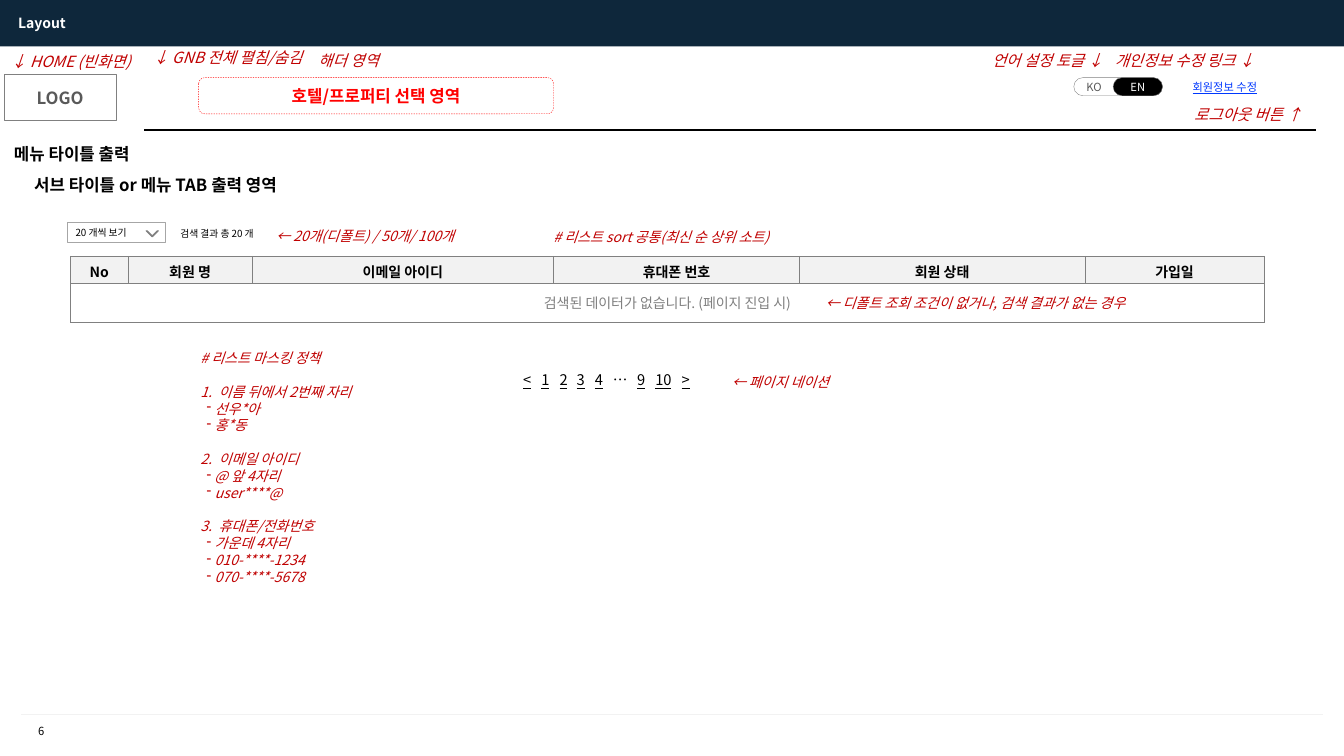
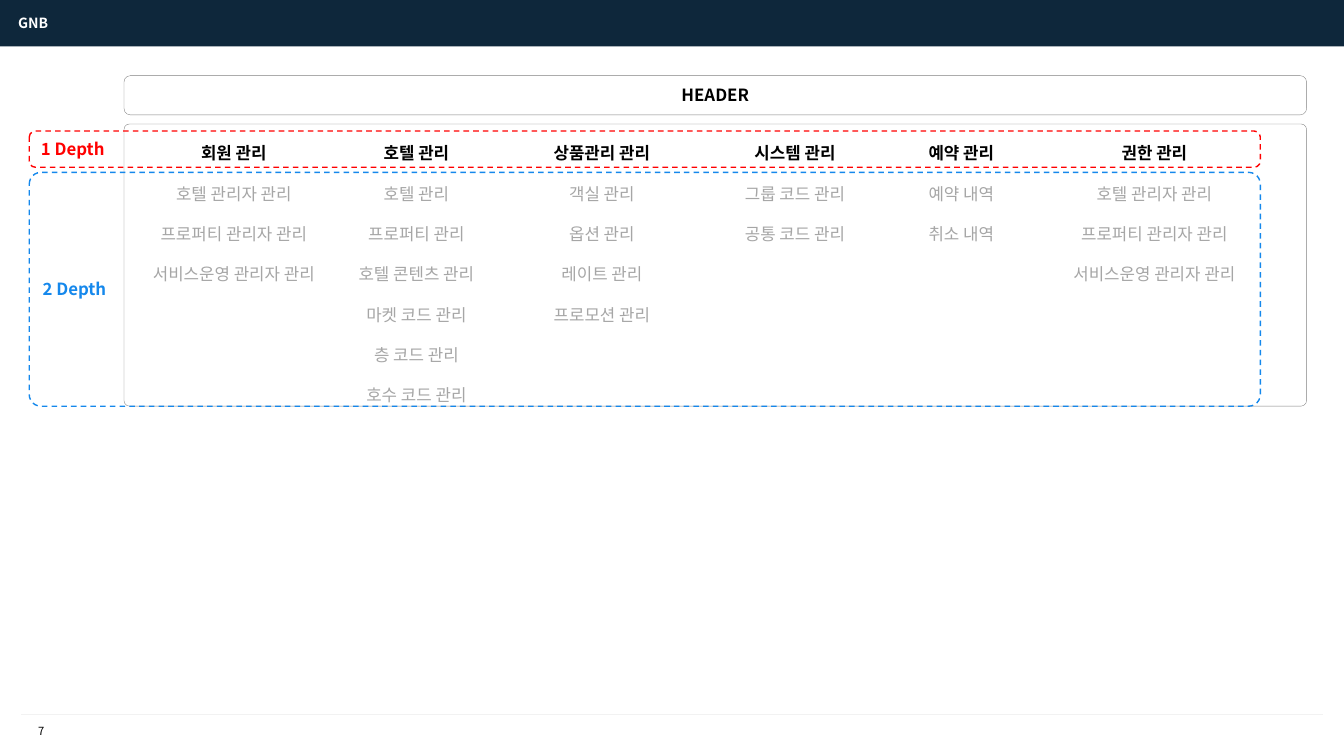
import pptx
import pptx.dml.color
import pptx.enum.dml
import pptx.enum.shapes
import pptx.enum.text
import pptx.oxml
import pptx.oxml.ns
import pptx.util

# Shared style
PX = 9144  # one px is a hundredth of an inch
WIDTH, HEIGHT = 1333, 750
FONT = "Noto Sans CJK KR"
NAVY, WHITE, BLACK = "0E273B", "FFFFFF", "000000"
GRAY, DARK_GRAY, MID_GRAY, PALE_GRAY = "808080", "595959", "A6A6A6", "F2F2F2"
RED, NOTE_RED, BLUE, LINK_BLUE = "FF0000", "C00000", "1588EC", "0038FE"

SHAPES = pptx.enum.shapes.MSO_SHAPE
DASH = pptx.enum.dml.MSO_LINE.DASH
LEFT, CENTER, RIGHT = (pptx.enum.text.PP_ALIGN.LEFT, pptx.enum.text.PP_ALIGN.CENTER,
                       pptx.enum.text.PP_ALIGN.RIGHT)
TOP, MIDDLE = pptx.enum.text.MSO_ANCHOR.TOP, pptx.enum.text.MSO_ANCHOR.MIDDLE


def px(*lengths):
    return [pptx.util.Emu(length * PX) for length in lengths]


def rgb(color):
    return pptx.dml.color.RGBColor.from_string(color)


def add_xml(parent, tag, **attributes):
    element = parent.makeelement(pptx.oxml.ns.qn(tag), attributes)
    parent.append(element)
    return element


# Text
def write_text(paragraph, text, size=10, color=BLACK, bold=False, italic=False,
               underline=False, align=LEFT, line_spacing=None, space_before=0):
    paragraph.alignment = align
    if line_spacing:
        paragraph.line_spacing = line_spacing
    if space_before:
        paragraph.space_before = pptx.util.Pt(space_before)
    run = paragraph.add_run()
    run.text = text
    font = run.font
    font.size = pptx.util.Pt(size)
    font.bold, font.italic, font.underline = bold, italic, underline
    font.color.rgb = rgb(color)
    font.name = FONT
    add_xml(font._element, "a:ea", typeface=FONT)


def set_insets(frame, side=10, end=5):
    frame.margin_left = frame.margin_right = px(side)[0]
    frame.margin_top = frame.margin_bottom = px(end)[0]


def add_box(slide, left, top, width, height, side=10, end=5):
    frame = slide.shapes.add_textbox(*px(left, top, width, height)).text_frame
    frame.word_wrap = True
    set_insets(frame, side, end)
    return frame


def add_label(slide, text, left, top, width, size=10, **style):
    height = round(10 + size * 5 / 3)
    frame = add_box(slide, left, top, width, height)
    write_text(frame.paragraphs[0], text, size=size, **style)


def add_note(slide, text, left, top, width, size=10, align=LEFT):
    add_label(slide, text, left, top, width, size, color=NOTE_RED, italic=True, align=align)


def next_paragraph(frame, index):
    return frame.add_paragraph() if index else frame.paragraphs[0]


def set_bullet(paragraph, margin, hanging, tag, **attributes):
    properties = paragraph._p.get_or_add_pPr()
    properties.set("marL", str(margin * PX))
    properties.set("indent", str(-hanging * PX))
    add_xml(properties, tag, **attributes)


# Shapes and lines
def paint(shape, fill=None, line=None, weight=0.25, dash=None):
    shape.shadow.inherit = False
    if fill:
        shape.fill.solid()
        shape.fill.fore_color.rgb = rgb(fill)
    else:
        shape.fill.background()
    if line:
        shape.line.color.rgb = rgb(line)
        shape.line.width = pptx.util.Pt(weight)
        if dash:
            shape.line.dash_style = dash
    else:
        shape.line.fill.background()


def add_panel(slide, left, top, width, height, kind=SHAPES.ROUNDED_RECTANGLE,
              corner=None, text="", insets=(10, 5), look=None, **style):
    shape = slide.shapes.add_shape(kind, *px(left, top, width, height))
    if corner is not None:
        shape.adjustments[0] = corner
    paint(shape, **(look or {"line": GRAY}))
    frame = shape.text_frame
    frame.vertical_anchor = MIDDLE
    set_insets(frame, *insets)
    if text:
        write_text(frame.paragraphs[0], text, **style)
    return shape


def add_rule(slide, left, right, y, color):
    line = slide.shapes.add_connector(pptx.enum.shapes.MSO_CONNECTOR.STRAIGHT,
                                      *px(left, y, right, y))
    line.line.color.rgb = rgb(color)
    line.line.width = pptx.util.Pt(0.75)
    add_xml(line._element.spPr, "a:effectLst")


# Table
def set_borders(cell, color, weight):
    properties = cell._tc.get_or_add_tcPr()
    for position, side in enumerate(("a:lnL", "a:lnR", "a:lnT", "a:lnB")):
        border = add_xml(properties, side, w=str(pptx.util.Pt(weight)))
        add_xml(add_xml(border, "a:solidFill"), "a:srgbClr", val=color)
        properties.insert(position, border)


def add_member_table(slide):
    columns = (("No", 57), ("회원 명", 123), ("이메일 아이디", 299),
               ("휴대폰 번호", 244), ("회원 상태", 283), ("가입일", 178))
    heights = (27, 39)
    total = sum(width for _, width in columns)
    table = slide.shapes.add_table(2, len(columns), *px(70, 254, total, sum(heights))).table
    for row, height in zip(table.rows, heights):
        row.height = px(height)[0]
    for index, (heading, width) in enumerate(columns):
        table.columns[index].width = px(width)[0]
        write_text(table.cell(0, index).text_frame.paragraphs[0], heading,
                   bold=True, align=CENTER)
        for row, fill in enumerate((PALE_GRAY, WHITE)):
            cell = table.cell(row, index)
            cell.vertical_anchor = MIDDLE
            cell.fill.solid()
            cell.fill.fore_color.rgb = rgb(fill)
            set_borders(cell, GRAY, 0.25)
    empty_row = table.cell(1, 0)
    empty_row.merge(table.cell(1, len(columns) - 1))
    write_text(empty_row.text_frame.paragraphs[0], "검색된 데이터가 없습니다. (페이지 진입 시)",
               color=GRAY, align=CENTER)


# Slide frame: band, title, footer
def add_slide(presentation, title, number):
    slide = presentation.slides.add_slide(presentation.slide_layouts[5])
    placeholder = slide.shapes.title
    band = add_panel(slide, 0, 0, WIDTH, 46, kind=SHAPES.RECTANGLE, look={"fill": NAVY})
    placeholder._element.addprevious(band._element)
    placeholder.left, placeholder.top, placeholder.width, placeholder.height = px(8, 9, 113, 27)
    frame = placeholder.text_frame
    frame.auto_size = pptx.enum.text.MSO_AUTO_SIZE.NONE
    frame.vertical_anchor = TOP
    set_insets(frame)
    write_text(frame.paragraphs[0], title, color=WHITE, bold=True)
    add_rule(slide, 21, 1312, 709, PALE_GRAY)
    add_label(slide, str(number), 17, 714, 48, size=8, align=CENTER)
    return slide


# Layout slide parts
def add_pagination(slide):
    frame = add_box(slide, 511, 364, 203, 26, side=8, end=4)
    paragraph = frame.paragraphs[0]
    stops = add_xml(paragraph._p.get_or_add_pPr(), "a:tabLst")
    for offset in (18, 36, 53, 71, 89, 113, 131, 157):
        add_xml(stops, "a:tab", pos=str(offset * PX), algn="l")
    for index, mark in enumerate(("<", "1", "2", "3", "4", "…", "9", "10", ">")):
        if index:
            write_text(paragraph, "\t", size=10.5)
        write_text(paragraph, mark, size=10.5, underline=mark != "…")


def add_masking_policy(slide):
    rules = (("이름 뒤에서 2번째 자리", ("선우*아", "홍*동")),
             ("이메일 아이디", ("@ 앞 4자리", "user****@")),
             ("휴대폰/전화번호", ("가운데 4자리", "010-****-1234", "070-****-5678")))
    style = {"color": NOTE_RED, "italic": True}
    frame = add_box(slide, 189, 342, 190, 246)
    write_text(frame.paragraphs[0], "# 리스트 마스킹 정책", **style)
    for number, (rule, examples) in enumerate(rules, 1):
        paragraph = frame.add_paragraph()
        set_bullet(paragraph, 18, 18, "a:buAutoNum", type="arabicPeriod", startAt=str(number))
        write_text(paragraph, rule, space_before=12, **style)
        for example in examples:
            paragraph = frame.add_paragraph()
            set_bullet(paragraph, 14, 8, "a:buChar", char="-")
            write_text(paragraph, example, **style)


def add_page_size_select(slide):
    add_panel(slide, 67, 221, 97, 19, kind=SHAPES.RECTANGLE, text="20 개씩 보기", size=7,
              insets=(8, 4), look={"fill": WHITE, "line": MID_GRAY, "weight": 0.5})
    builder = slide.shapes.build_freeform(145, 229, scale=PX)
    builder.add_line_segments(((146, 229), (151, 234), (156, 229), (157, 229), (151, 235)))
    paint(builder.convert_to_shape(), fill="5F5F5F", line=GRAY, weight=0.75)


def build_layout_slide(presentation):
    slide = add_slide(presentation, "Layout", 6)
    add_member_table(slide)
    add_pagination(slide)
    add_page_size_select(slide)
    add_masking_policy(slide)

    # Header area
    add_panel(slide, 4, 74, 111, 45, kind=SHAPES.RECTANGLE, text="LOGO", size=12,
              color=DARK_GRAY, bold=True, align=CENTER)
    add_panel(slide, 197, 77, 352, 36, text="호텔/프로퍼티 선택 영역", size=12, color=RED,
              bold=True, align=CENTER, look={"line": RED, "dash": DASH})
    add_panel(slide, 1065, 77, 88, 18, corner=0.5, text="KO", size=8, color=DARK_GRAY)
    add_panel(slide, 1104, 77, 49, 18, corner=0.5, text="EN", size=8, color=WHITE,
              align=CENTER, look={"fill": BLACK, "line": GRAY})
    add_label(slide, "회원정보 수정", 1173, 75, 92, size=8, color=LINK_BLUE, underline=True)
    add_rule(slide, 143, 1305, 129, BLACK)

    # Headings
    add_label(slide, "메뉴 타이틀 출력", 4, 138, 150, size=12, bold=True)
    add_label(slide, "서브 타이틀 or 메뉴 TAB 출력 영역", 24, 168, 268, size=12, bold=True)
    add_label(slide, "검색 결과 총 20 개", 169, 221, 99, size=7)

    # Red notes
    notes = (("↓ HOME (빈화면)", 1, 47, 482, 11, LEFT),
             ("↓ GNB 전체 펼침/숨김", 142, 43, 241, 11, LEFT),
             ("해더 영역", 306, 46, 101, 11, LEFT),
             ("언어 설정 토글 ↓", 863, 46, 241, 11, RIGHT),
             ("개인정보 수정 링크 ↓", 1013, 46, 241, 11, RIGHT),
             ("로그아웃 버튼 ↑", 1060, 99, 241, 11, RIGHT),
             ("← 20개(디폴트) / 50개/ 100개", 264, 221, 207, 10, LEFT),
             ("# 리스트 sort 공통(최신 순 상위 소트)", 539, 222, 259, 10, LEFT),
             ("← 디폴트 조회 조건이 없거나, 검색 결과가 없는 경우", 809, 287, 356, 10, LEFT),
             ("← 페이지 네이션", 716, 366, 120, 10, LEFT))
    for note in notes:
        add_note(slide, *note)


# Menu slide parts
def add_menu(slide, left, width, heading, items):
    frame = add_box(slide, left, 117, width, 44 + 40 * len(items))
    for index, item in enumerate((heading,) + items):
        write_text(next_paragraph(frame, index), item, size=12, bold=index == 0,
                   color=MID_GRAY if index else BLACK, align=CENTER, line_spacing=2.0)


def build_menu_slide(presentation):
    slide = add_slide(presentation, "GNB", 7)
    add_panel(slide, 123, 75, 1173, 39, text="HEADER", size=12, bold=True, align=CENTER)
    add_panel(slide, 123, 123, 1173, 280, corner=0.02)

    managers = ("호텔 관리자 관리", "프로퍼티 관리자 관리", "서비스운영 관리자 관리")
    menus = ((135, 194, "회원 관리", managers),
             (334, 158, "호텔 관리", ("호텔 관리", "프로퍼티 관리", "호텔 콘텐츠 관리",
                                  "마켓 코드 관리", "층 코드 관리", "호수 코드 관리")),
             (518, 158, "상품관리 관리", ("객실 관리", "옵션 관리", "레이트 관리", "프로모션 관리")),
             (710, 157, "시스템 관리", ("그룹 코드 관리", "공통 코드 관리")),
             (897, 113, "예약 관리", ("예약 내역", "취소 내역")),
             (1048, 194, "권한 관리", managers))
    for menu in menus:
        add_menu(slide, *menu)

    depths = (("1 Depth", 130, 36, 0.17, RED), ("2 Depth", 171, 232, 0.05, BLUE))
    for text, top, height, corner, color in depths:
        add_panel(slide, 29, top, 1221, height, corner=corner, text=text, size=12,
                  color=color, bold=True, look={"line": color, "weight": 1, "dash": DASH})


def main():
    presentation = pptx.Presentation()
    presentation.slide_width, presentation.slide_height = px(WIDTH, HEIGHT)
    build_layout_slide(presentation)
    build_menu_slide(presentation)
    presentation.save("out.pptx")


if __name__ == "__main__":
    main()
